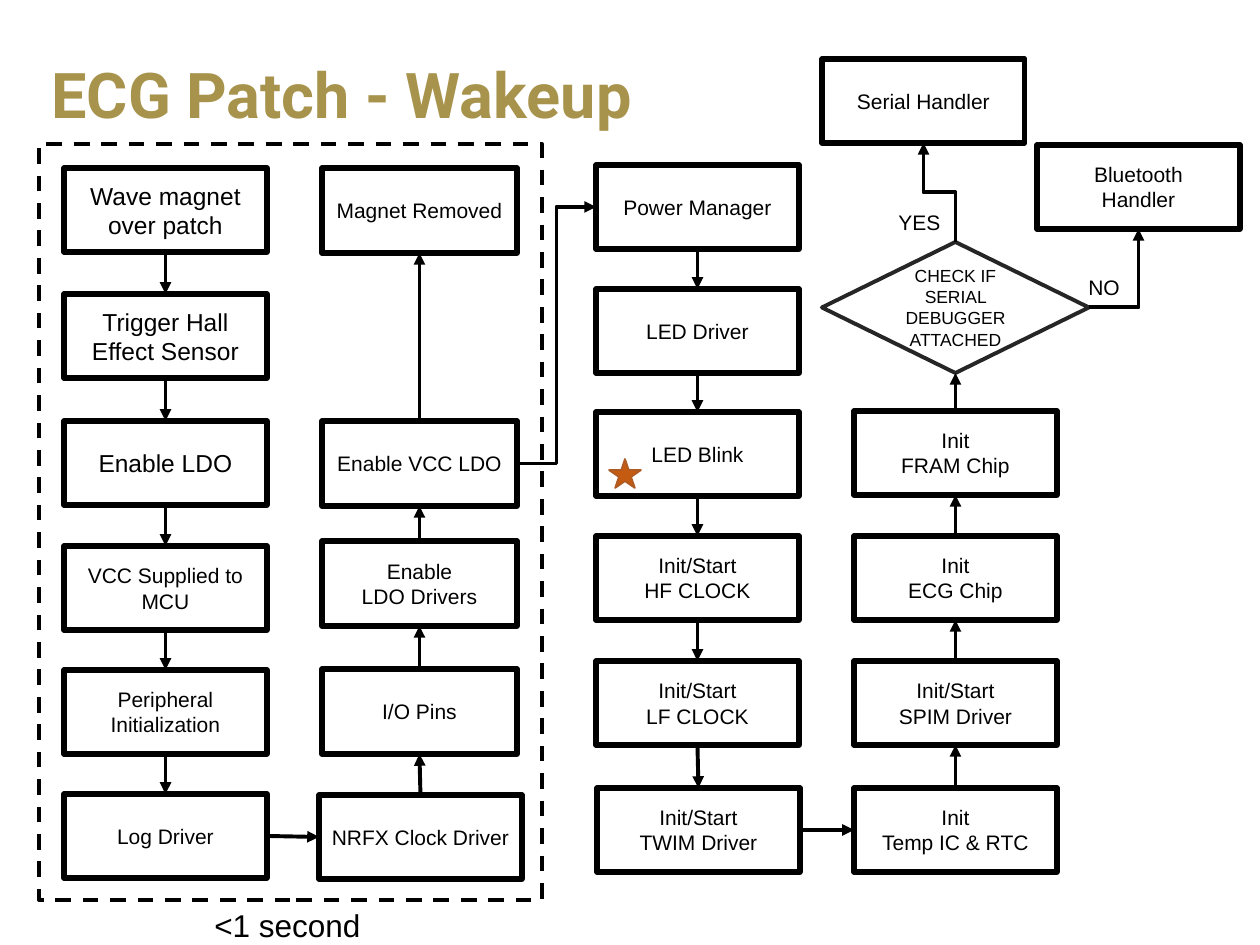
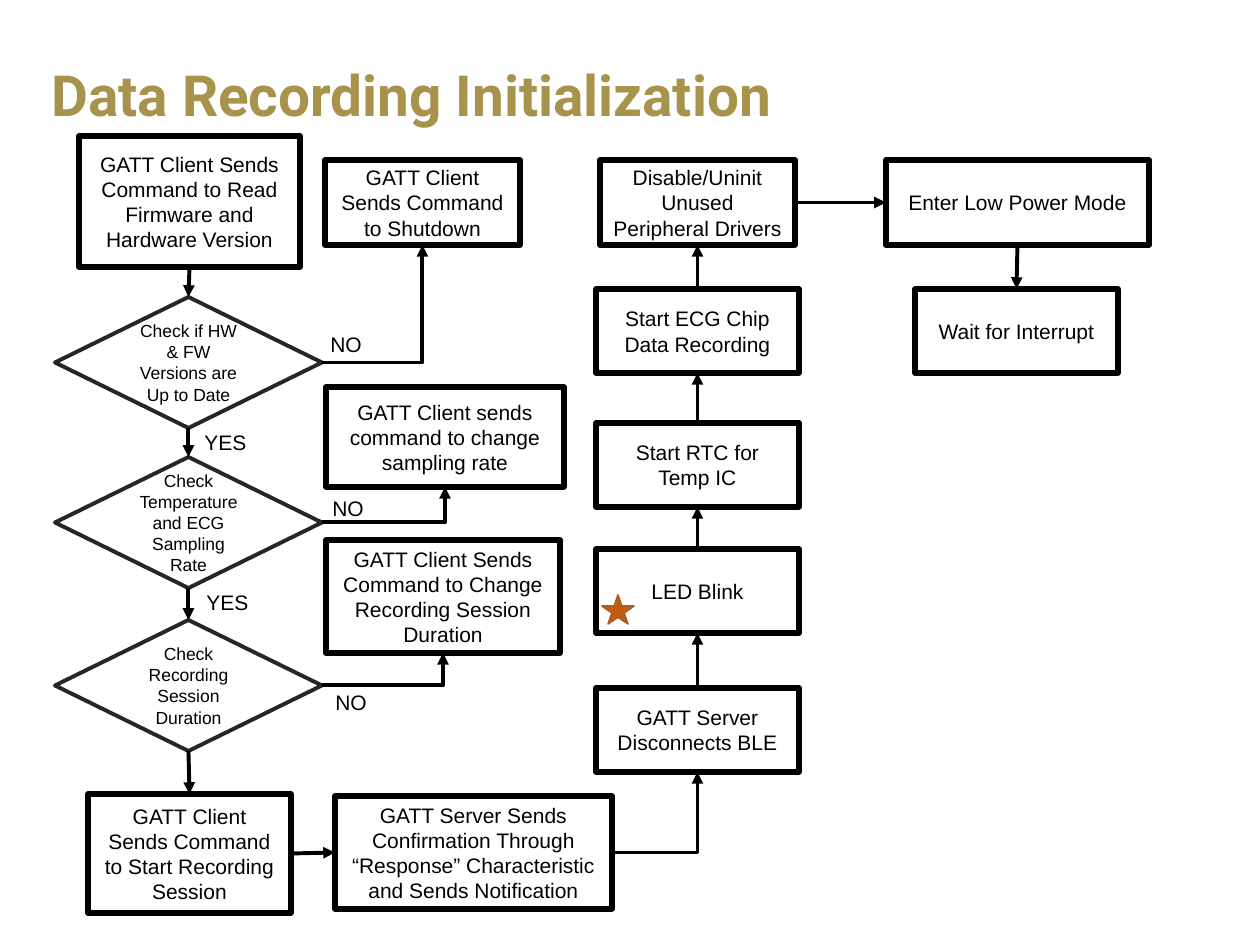
from lxml import etree
from pptx import Presentation
from pptx.dml.color import RGBColor
from pptx.enum.dml import MSO_LINE
from pptx.enum.shapes import MSO_CONNECTOR as CONNECTOR, MSO_SHAPE as SHAPE
from pptx.enum.text import MSO_ANCHOR as ANCHOR, PP_ALIGN as ALIGN
from pptx.oxml.ns import qn
from pptx.util import Inches, Pt

SCALE = Inches(1) / 126
rgb = RGBColor.from_string
BLACK, GOLD, CHARCOAL = "000000", "A7934B", "262626"
STAR_FILL, STAR_LINE = "C55A11", "AF5C24"
TOP, LEFT, BOTTOM, RIGHT = range(4)  # connection sites of a box
STRAIGHT, CORNER, STEP, STEP_UP = "line", "bentConnector2", "bentConnector3", "step up"
RECT, DIAMOND = SHAPE.RECTANGLE, SHAPE.FLOWCHART_DECISION


def px(*lengths):
    return [round(length * SCALE) for length in lengths]


def write(frame, text, size, align=ALIGN.LEFT, anchor=ANCHOR.TOP):
    """Fill a text frame, one paragraph a line, in black Arial."""
    frame.word_wrap = True
    frame.vertical_anchor = anchor
    frame.text = text
    for para in frame.paragraphs:
        para.alignment = align
        para.font.name, para.font.size = "Arial", Pt(size)
        para.font.color.rgb = rgb(BLACK)


# Slide 1: columns of equal boxes as (left, width, height, [(name, top, text, size)])
wakeup_columns = [
    (64, 203, 84, [
        ("wave", 168, "Wave magnet over patch", 14),
        ("hall", 294, "Trigger Hall Effect Sensor", 14),
        ("ldo", 421, "Enable LDO", 14),
        ("supply", 546, "VCC Supplied to MCU", 12),
        ("peripheral", 670, "Peripheral Initialization", 12),
        ("log", 794, "Log Driver", 12)]),
    (319, 203, 84, [("clock", 795, "NRFX Clock Driver", 12)]),
    (322, 195, 85, [
        ("pins", 669, "I/O Pins", 12),
        ("drivers", 541, "Enable\nLDO Drivers", 12),
        ("vcc", 421, "Enable VCC LDO", 12),
        ("removed", 168, "Magnet Removed", 12)]),
    (596, 203, 84, [
        ("power", 165, "Power Manager", 12),
        ("led", 289, "LED Driver", 12),
        ("blink", 412, "LED Blink", 12),
        ("hf", 536, "Init/Start\nHF CLOCK", 12),
        ("lf", 661, "Init/Start\nLF CLOCK", 12)]),
    (597, 203, 84, [("twim", 788, "Init/Start\nTWIM Driver", 12)]),
    (854, 203, 84, [
        ("temperature", 788, "Init\nTemp IC & RTC", 12),
        ("spim", 661, "Init/Start\nSPIM Driver", 12),
        ("ecg", 536, "Init\nECG Chip", 12),
        ("memory", 411, "Init\nFRAM Chip", 12)]),
    (822, 203, 84, [("serial", 59, "Serial Handler", 12)]),
    (1037, 203, 84, [("bluetooth", 145, "Bluetooth\nHandler", 12)]),
]
wakeup_boxes = [
    (name, RECT, (left, top, width, height), text, size)
    for left, width, height, rows in wakeup_columns
    for name, top, text, size in rows
]
wakeup_boxes.append(("debugger", DIAMOND, (822, 242, 267, 131),
                     "CHECK IF SERIAL DEBUGGER ATTACHED", 10))

recording_boxes = [
    ("version", RECT, (79, 136, 221, 131),
     "GATT Client Sends Command to Read Firmware and Hardware Version", 12),
    ("shutdown", RECT, (325, 160, 195, 85), "GATT Client Sends Command to Shutdown", 12),
    ("rate", RECT, (326, 387, 238, 100),
     "GATT Client sends command to change sampling rate", 12),
    ("duration", RECT, (326, 540, 234, 113),
     "GATT Client Sends Command to Change Recording Session Duration", 12),
    ("check version", DIAMOND, (55, 297, 267, 131),
     "Check if HW & FW Versions are Up to Date", 10),
    ("check rate", DIAMOND, (55, 457, 267, 131),
     "Check Temperature and ECG Sampling Rate", 10),
    ("check duration", DIAMOND, (55, 620, 267, 131),
     "Check Recording Session Duration", 10),
    ("session", RECT, (88, 794, 203, 119),
     "GATT Client Sends Command to Start Recording Session", 12),
    ("confirm", RECT, (335, 796, 277, 113),
     "GATT Server Sends Confirmation Through “Response” Characteristic "
     "and Sends Notification", 12),
    ("disconnect", RECT, (596, 688, 203, 84), "GATT Server Disconnects BLE", 12),
    ("blink", RECT, (596, 549, 203, 84), "LED Blink", 12),
    ("clock", RECT, (596, 423, 203, 84), "Start RTC for Temp IC", 12),
    ("ecg", RECT, (596, 289, 203, 84), "Start ECG Chip Data Recording", 12),
    ("disable", RECT, (600, 160, 195, 85),
     "Disable/Uninit Unused Peripheral Drivers", 12),
    ("low power", RECT, (886, 160, 263, 85), "Enter Low Power Mode", 12),
    ("wait", RECT, (915, 289, 203, 84), "Wait for Interrupt", 12),
]

# Flows: (connector form, side left, side entered, chain of box names)
wakeup_flows = [
    (STRAIGHT, BOTTOM, TOP, ["wave", "hall", "ldo", "supply", "peripheral", "log"]),
    (STRAIGHT, RIGHT, LEFT, ["log", "clock"]),
    (STRAIGHT, TOP, BOTTOM, ["clock", "pins", "drivers", "vcc", "removed"]),
    (STEP, RIGHT, LEFT, ["vcc", "power"]),
    (STRAIGHT, BOTTOM, TOP, ["power", "led", "blink", "hf", "lf", "twim"]),
    (STRAIGHT, RIGHT, LEFT, ["twim", "temperature"]),
    (STRAIGHT, TOP, BOTTOM, ["temperature", "spim", "ecg", "memory", "debugger"]),
    (STEP_UP, TOP, BOTTOM, ["debugger", "serial"]),
    (CORNER, RIGHT, BOTTOM, ["debugger", "bluetooth"]),
]
recording_flows = [
    (STRAIGHT, BOTTOM, TOP,
     ["version", "check version", "check rate", "check duration", "session"]),
    (CORNER, RIGHT, BOTTOM, ["check version", "shutdown"]),
    (CORNER, RIGHT, BOTTOM, ["check rate", "rate"]),
    (CORNER, RIGHT, BOTTOM, ["check duration", "duration"]),
    (STRAIGHT, RIGHT, LEFT, ["session", "confirm"]),
    (CORNER, RIGHT, BOTTOM, ["confirm", "disconnect"]),
    (STRAIGHT, TOP, BOTTOM, ["disconnect", "blink", "clock", "ecg", "disable"]),
    (STRAIGHT, RIGHT, LEFT, ["disable", "low power"]),
    (STRAIGHT, BOTTOM, TOP, ["low power", "wait"]),
]

# Labels: (left, top, width, height, text, size)
wakeup_labels = [
    (202, 900, 189, 50, "<1 second", 18),
    (886, 203, 76, 38, "YES", 12),
    (1076, 268, 76, 38, "NO", 12),
]
recording_labels = [
    (left, top, 76, 38, text, 12)
    for left, top, text in [(318, 325, "NO"), (192, 423, "YES"), (320, 489, "NO"),
                            (194, 583, "YES"), (323, 683, "NO")]
]

# Pages: title, title size, title width, boxes, flows, labels, star position
pages = [
    ("ECG Patch - Wakeup", 36, 636, wakeup_boxes, wakeup_flows, wakeup_labels, (609, 459)),
    ("Data Recording Initialization", 32.4, 806, recording_boxes, recording_flows,
     recording_labels, (602, 595)),
]

deck = Presentation()
deck.slide_width, deck.slide_height = Inches(10), Inches(7.5)

for title, title_size, title_width, boxes, flows, labels, star_at in pages:
    page = deck.slides.add_slide(deck.slide_layouts[6])
    shapes = page.shapes

    title_box = shapes.add_textbox(*px(39, 28, title_width, 140))
    write(title_box.text_frame, title, title_size, anchor=ANCHOR.MIDDLE)
    para = title_box.text_frame.paragraphs[0]
    para.line_spacing = 0.9
    para.font.name, para.font.bold = "Roboto", True
    para.font.color.rgb = rgb(GOLD)

    placed = {}
    for name, kind, bounds, text, size in boxes:
        box = shapes.add_shape(kind, *px(*bounds))
        box.shadow.inherit = False
        box.fill.background()
        box.line.color.rgb = rgb(CHARCOAL if kind == DIAMOND else BLACK)
        box.line.width = Pt(2.25 if kind == DIAMOND else 3)
        write(box.text_frame, text, size, ALIGN.CENTER, ANCHOR.MIDDLE)
        placed[name] = box

    for form, leave, enter, chain in flows:
        for source, target in zip(chain, chain[1:]):
            kind = CONNECTOR.STRAIGHT if form == STRAIGHT else CONNECTOR.ELBOW
            arrow = shapes.add_connector(kind, 0, 0, 0, 0)
            arrow.begin_connect(placed[source], leave)
            arrow.end_connect(placed[target], enter)
            arrow.line.color.rgb = rgb(BLACK)
            arrow.line.width = Pt(2.25)
            properties = arrow.line._get_or_add_ln()
            etree.SubElement(properties, qn("a:tailEnd"), type="triangle")
            outline = arrow._element.spPr
            etree.SubElement(outline, qn("a:effectLst"))
            if form == CORNER:
                outline.find(qn("a:prstGeom")).set("prst", CORNER)
            if form == STEP_UP:
                # A step that starts upward is a sideways step turned by 270 degrees
                middle_x = (arrow.begin_x + arrow.end_x) // 2
                middle_y = (arrow.begin_y + arrow.end_y) // 2
                half_rise = (arrow.begin_y - arrow.end_y) // 2
                half_shift = (arrow.end_x - arrow.begin_x) // 2
                arrow.begin_x, arrow.begin_y = middle_x - half_rise, middle_y - half_shift
                arrow.end_x, arrow.end_y = middle_x + half_rise, middle_y + half_shift
                outline.find(qn("a:xfrm")).set("rot", str(270 * 60000))

    for *bounds, text, size in labels:
        label = shapes.add_textbox(*px(*bounds))
        write(label.text_frame, text, size)

    star = shapes.add_shape(SHAPE.STAR_5_POINT, *px(*star_at, 32, 29))
    star.shadow.inherit = False
    star.fill.solid()
    star.fill.fore_color.rgb = rgb(STAR_FILL)
    star.line.color.rgb = rgb(STAR_LINE)
    star.line.width = Pt(1)

startup_frame = deck.slides[0].shapes.add_shape(RECT, *px(39, 144, 503, 756))
startup_frame.shadow.inherit = False
startup_frame.fill.background()
startup_frame.line.color.rgb = rgb(BLACK)
startup_frame.line.width = Pt(2.25)
startup_frame.line.dash_style = MSO_LINE.DASH

deck.save("out.pptx")
